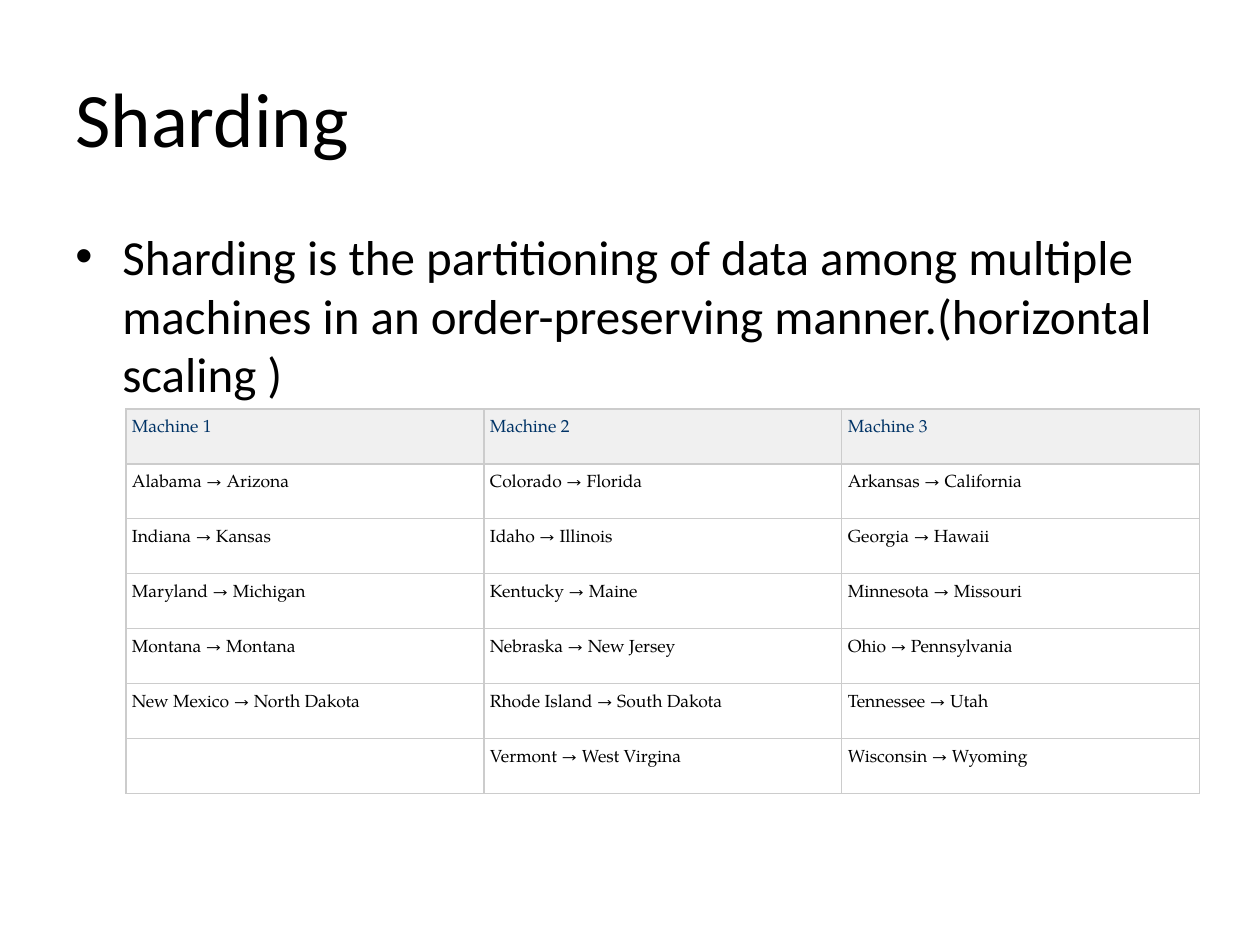
import dataclasses

import pptx
import pptx.dml.color
import pptx.enum.text
import pptx.oxml
import pptx.oxml.ns
import pptx.util

SCALE = 914400 // 126
ANCHOR = pptx.enum.text.MSO_ANCHOR


@dataclasses.dataclass(frozen=True)
class Theme:
    """Colours, fonts and type sizes of the slide."""
    ink: str = "000000"
    paper: str = "FFFFFF"
    header_ink: str = "003366"
    header_fill: str = "F0F0F0"
    rule: str = "CCCCCC"
    sans: str = "Calibri"
    serif: str = "TeX Gyre Pagella"
    title_size: int = 44
    body_size: int = 28
    cell_size: int = 10
    cell_leading: int = 13
    rule_width: float = 0.75


THEME = Theme()

MACHINES = [
    ("Machine 1", "Machine 2", "Machine 3"),
    ("Alabama → Arizona", "Colorado → Florida", "Arkansas → California"),
    ("Indiana → Kansas", "Idaho → Illinois", "Georgia → Hawaii"),
    ("Maryland → Michigan", "Kentucky → Maine", "Minnesota → Missouri"),
    ("Montana → Montana", "Nebraska → New Jersey", "Ohio → Pennsylvania"),
    ("New Mexico → North Dakota", "Rhode Island → South Dakota", "Tennessee → Utah"),
    ("", "Vermont → West Virgina", "Wisconsin → Wyoming"),
]


def px(length):
    """Turn pixels into EMU."""
    return pptx.util.Emu(length * SCALE)


def rgb(value):
    """Turn a hex string into a colour."""
    return pptx.dml.color.RGBColor.from_string(value)


def add_xml(parent, xml):
    """Append a drawing element written as XML to a parent element."""
    namespace = pptx.oxml.ns.nsdecls("a")
    parent.append(pptx.oxml.parse_xml(xml.replace(" ", f" {namespace} ", 1)))


def write(frame, text, *, font, size, colour=THEME.ink, leading=None, hanging=0):
    """Write one paragraph, bulleted when a hanging indent is given."""
    frame.word_wrap = True
    para = frame.paragraphs[0]
    if leading:
        para.line_spacing = pptx.util.Pt(leading)
    if hanging:
        properties = para._p.get_or_add_pPr()
        properties.set("marL", str(px(hanging)))
        properties.set("indent", str(-px(hanging)))
        add_xml(properties, '<a:buFont typeface="Arial"/>')
        add_xml(properties, '<a:buChar char="•"/>')
    span = para.add_run()
    span.text = text
    span.font.name = font
    span.font.size = pptx.util.Pt(size)
    span.font.color.rgb = rgb(colour)


def add_text(page, text, bounds, *, anchor=ANCHOR.TOP, **style):
    """Add a text box with one styled paragraph."""
    box = page.shapes.add_textbox(*map(px, bounds))
    box.text_frame.vertical_anchor = anchor
    write(box.text_frame, text, **style)


def format_cell(cell, fill):
    """Give a cell its margins, borders and fill."""
    cell.margin_left = cell.margin_right = px(6)
    cell.margin_top = cell.margin_bottom = px(6)
    width = pptx.util.Pt(THEME.rule_width)
    properties = cell._tc.get_or_add_tcPr()
    for side in "LRTB":
        add_xml(properties, f'<a:ln{side} w="{width}"><a:solidFill>'
                            f'<a:srgbClr val="{THEME.rule}"/></a:solidFill></a:ln{side}>')
    cell.fill.solid()
    cell.fill.fore_color.rgb = rgb(fill)


def add_grid(page, rows, left, top, column_width, row_height):
    """Add a table with equal columns and rows and a tinted header."""
    count = len(rows[0])
    table = page.shapes.add_table(
        len(rows), count, px(left), px(top),
        px(column_width * count), px(row_height * len(rows))).table
    table.horz_banding = False
    for row_index, texts in enumerate(rows):
        header = row_index == 0
        for column_index, text in enumerate(texts):
            cell = table.cell(row_index, column_index)
            format_cell(cell, THEME.header_fill if header else THEME.paper)
            if text:
                write(cell.text_frame, text, font=THEME.serif, size=THEME.cell_size,
                      colour=THEME.header_ink if header else THEME.ink,
                      leading=THEME.cell_leading)


def main():
    """Build and save the slide."""
    deck = pptx.Presentation()
    deck.slide_width, deck.slide_height = px(1260), px(945)
    page = deck.slides.add_slide(deck.slide_layouts[6])
    add_text(page, "Sharding", (63, 38, 1134, 158), anchor=ANCHOR.MIDDLE,
             font=THEME.sans, size=THEME.title_size)
    add_text(page, "Sharding is the partitioning of data among multiple machines "
                   "in an order-preserving manner.(horizontal scaling )",
             (63, 220, 1134, 220), font=THEME.sans, size=THEME.body_size, hanging=47)
    add_grid(page, MACHINES, 126, 409, column_width=358, row_height=55)
    deck.save("out.pptx")


main()
